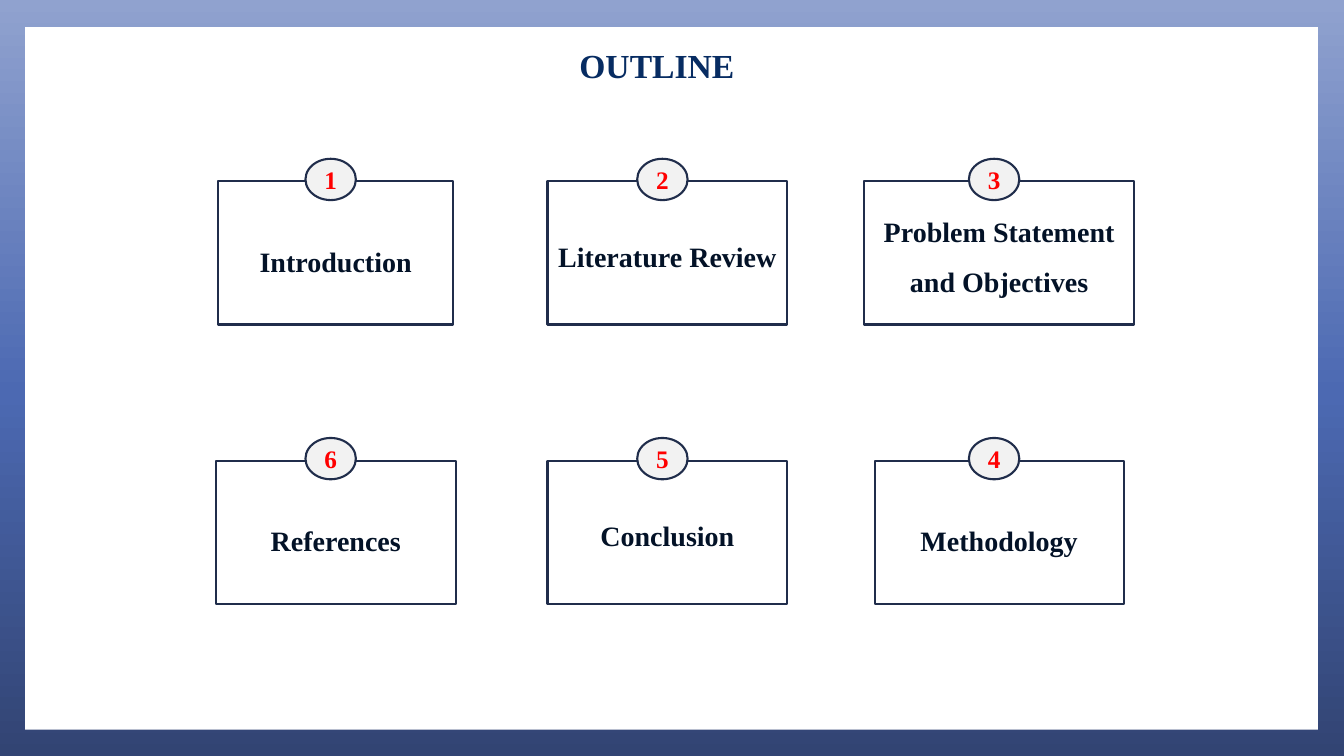
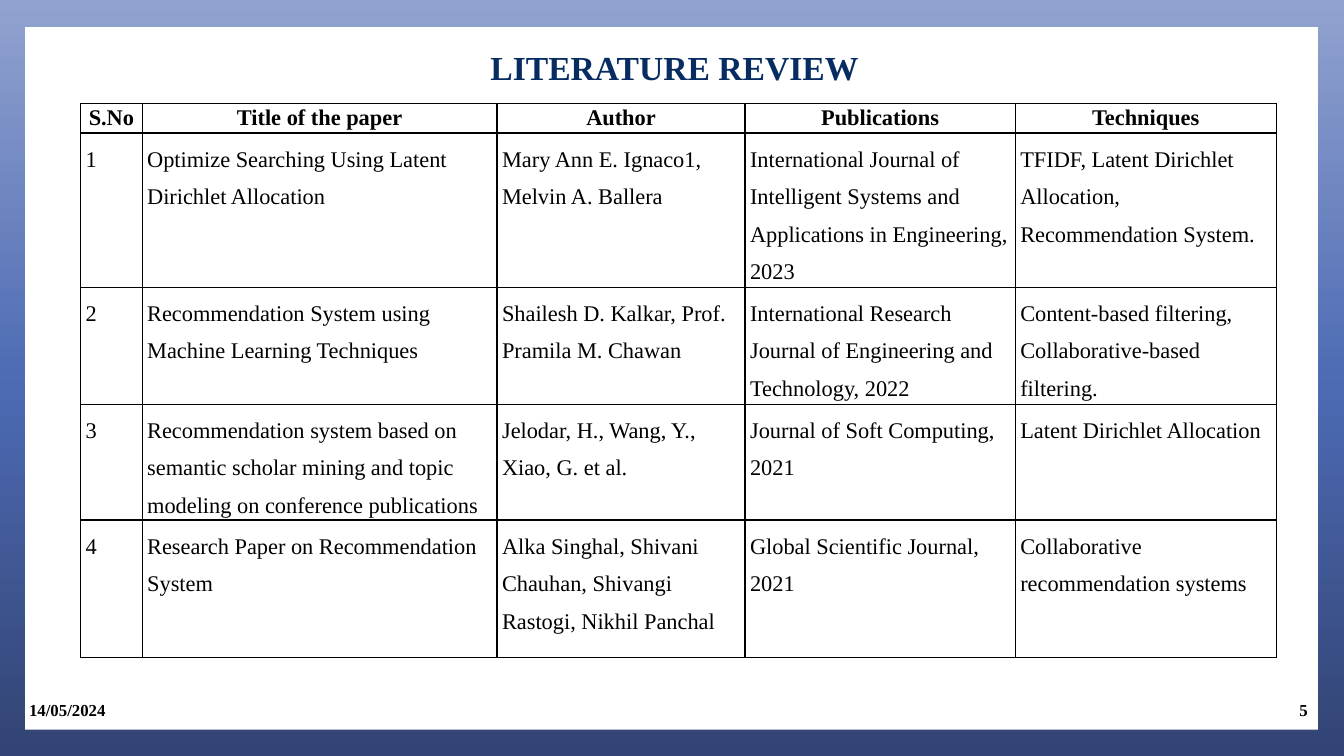
"""Build the outline and literature review slides."""
from dataclasses import dataclass

from lxml.etree import SubElement
from pptx import Presentation
from pptx.dml.color import RGBColor
from pptx.enum.shapes import MSO_SHAPE
from pptx.enum.text import MSO_ANCHOR, PP_ALIGN
from pptx.oxml import parse_xml
from pptx.oxml.ns import nsdecls, qn
from pptx.util import Inches, Pt


@dataclass(frozen=True)
class Theme:
    """Colours, font and type sizes of the deck."""
    font: str = "Times New Roman"
    title: str = "072C62"
    card_text: str = "031227"
    outline: str = "202D4B"
    badge: str = "F2F2F2"
    number: str = "FF0000"
    ink: str = "000000"
    paper: str = "FFFFFF"
    gradient: tuple = ((0, "324473"), (48, "4C69B2"), (100, "90A2CF"))
    title_size: int = 24
    card_size: int = 20
    badge_size: int = 18
    table_size: int = 16
    footer_size: int = 12


@dataclass(frozen=True)
class Grid:
    """Centres, tops and sizes of the outline cards, in inches."""
    first_centre: float = 3.33
    column_pitch: float = 3.29
    first_top: float = 1.8
    row_pitch: float = 2.77
    card_height: float = 1.42
    badge_width: float = 0.5
    badge_height: float = 0.41
    badge_shift: float = 0.05
    badge_rise: float = 0.02


THEME = Theme()
GRID = Grid()
TITLE_ONLY = 5

CARDS = (
    ("Introduction", 0, 0, 2.33, 0),
    ("Literature Review", 1, 0, 2.38, 0.1),
    ("Problem Statement\nand Objectives", 2, 0, 2.68, 0.1),
    ("Methodology", 2, 1, 2.47, 0),
    ("Conclusion", 1, 1, 2.38, 0.1),
    ("References", 0, 1, 2.38, 0),
)

COLUMN_WIDTHS = (0.61, 3.52, 2.46, 2.68, 2.59)
ROW_HEIGHTS = (0.29, 1.53, 1.16, 1.15, 1.36)
PAPERS = (
    ("S.No", "Title of the paper", "Author", "Publications", "Techniques"),
    ("1", "Optimize Searching Using Latent Dirichlet Allocation",
     "Mary Ann E. Ignaco1, Melvin A. Ballera",
     "International Journal of Intelligent Systems and Applications in Engineering, 2023",
     "TFIDF, Latent Dirichlet Allocation, Recommendation System."),
    ("2", "Recommendation System using Machine Learning Techniques",
     "Shailesh D. Kalkar, Prof. Pramila M. Chawan",
     "International Research Journal of Engineering and Technology, 2022",
     "Content-based filtering,\nCollaborative-based filtering."),
    ("3", "Recommendation system based on semantic scholar mining and topic modeling "
     "on conference publications",
     "Jelodar, H., Wang, Y., Xiao, G. et al.",
     "Journal of Soft Computing, 2021",
     "Latent Dirichlet Allocation"),
    ("4", "Research Paper on Recommendation System",
     "Alka Singhal, Shivani Chauhan, Shivangi Rastogi, Nikhil Panchal",
     "Global Scientific Journal, 2021",
     "Collaborative recommendation systems"),
)


def write(text_frame, text, size, colour, align=PP_ALIGN.CENTER, bold=True, spacing=1.0):
    """Fill a text frame and format its paragraphs and runs."""
    text_frame.word_wrap = True
    text_frame.text = text
    for paragraph in text_frame.paragraphs:
        paragraph.alignment = align
        paragraph.line_spacing = spacing
        for run in paragraph.runs:
            run.font.name = THEME.font
            run.font.size = Pt(size)
            run.font.bold = bold
            run.font.color.rgb = RGBColor.from_string(colour)


def set_margins(target, horizontal, top, bottom):
    """Set the inner margins of a text frame or a table cell."""
    target.margin_left = target.margin_right = Inches(horizontal)
    target.margin_top, target.margin_bottom = Inches(top), Inches(bottom)


def add_shape(slide, kind, box, fill, line=None):
    """Add a flat preset shape."""
    shape = slide.shapes.add_shape(kind, *map(Inches, box))
    shape.shadow.inherit = False
    shape.fill.solid()
    shape.fill.fore_color.rgb = RGBColor.from_string(fill)
    if line:
        shape.line.color.rgb = RGBColor.from_string(line)
        shape.line.width = Pt(1.5)
    else:
        shape.line.fill.background()
    shape.text_frame.vertical_anchor = MSO_ANCHOR.MIDDLE
    return shape


def style_master(master, slide):
    """Give the master its gradient and the white panel."""
    fill = master.background.fill
    fill.gradient()
    fill.gradient_angle = 90
    stops = master.element.find(".//" + qn("a:gsLst"))
    stops.clear()
    for position, colour in THEME.gradient:
        stop = SubElement(stops, qn("a:gs"), pos=str(position * 1000))
        SubElement(stop, qn("a:srgbClr"), val=colour)
    panel = add_shape(slide, MSO_SHAPE.RECTANGLE, (0.25, 0.27, 12.82, 6.97), THEME.paper)
    master.element.cSld.spTree.insert(2, panel.element)


def add_title(slide, text, box):
    """Place and format the title placeholder."""
    title = slide.shapes.title
    title.left, title.top, title.width, title.height = map(Inches, box)
    title.text_frame.vertical_anchor = MSO_ANCHOR.MIDDLE
    write(title.text_frame, text, THEME.title_size, THEME.title, spacing=0.9)


def add_card(slide, number, text, column, row, width, lift):
    """Add an outline card with its numbered badge on the top edge."""
    centre = GRID.first_centre + column * GRID.column_pitch
    top = GRID.first_top + row * GRID.row_pitch
    card = add_shape(slide, MSO_SHAPE.RECTANGLE,
                     (centre - width / 2, top, width, GRID.card_height),
                     THEME.paper, THEME.outline)
    set_margins(card.text_frame, 0.05, 0.05, 0.05 + lift)
    write(card.text_frame, text, THEME.card_size, THEME.card_text, spacing=1.5)
    badge = add_shape(slide, MSO_SHAPE.OVAL,
                      (centre - GRID.badge_shift - GRID.badge_width / 2,
                       top - GRID.badge_rise - GRID.badge_height / 2,
                       GRID.badge_width, GRID.badge_height),
                      THEME.badge, THEME.outline)
    set_margins(badge.text_frame, 0, 0, 0)
    write(badge.text_frame, str(number), THEME.badge_size, THEME.number)


def add_borders(frame):
    """Draw a thin line on every side of every cell."""
    for properties in frame.element.iter(qn("a:tcPr")):
        for index, side in enumerate(("lnL", "lnR", "lnT", "lnB")):
            properties.insert(index, parse_xml(
                f'<a:{side} {nsdecls("a")} w="{Pt(1)}"><a:solidFill>'
                f'<a:srgbClr val="{THEME.ink}"/></a:solidFill></a:{side}>'))


def add_paper_table(slide, left, top):
    """Add the table of reviewed papers."""
    frame = slide.shapes.add_table(
        len(PAPERS), len(COLUMN_WIDTHS), Inches(left), Inches(top),
        Inches(sum(COLUMN_WIDTHS)), Inches(sum(ROW_HEIGHTS)))
    table = frame.table
    table.horz_banding = False
    for column, width in zip(table.columns, COLUMN_WIDTHS):
        column.width = Inches(width)
    for index, (row, height, texts) in enumerate(zip(table.rows, ROW_HEIGHTS, PAPERS)):
        row.height = Inches(height)
        header = index == 0
        for cell, text in zip(row.cells, texts):
            set_margins(cell, 0.05, 0.02, 0.02)
            cell.fill.solid()
            cell.fill.fore_color.rgb = RGBColor.from_string(THEME.paper)
            write(cell.text_frame, text, THEME.table_size, THEME.ink,
                  PP_ALIGN.CENTER if header else PP_ALIGN.LEFT,
                  bold=header, spacing=1.0 if header else 1.5)
    add_borders(frame)


def add_footer(slide, text, left, width, align):
    """Add one footer text on the shared footer line."""
    box = slide.shapes.add_textbox(Inches(left), Inches(6.84), Inches(width), Inches(0.4))
    box.text_frame.vertical_anchor = MSO_ANCHOR.MIDDLE
    write(box.text_frame, text, THEME.footer_size, THEME.ink, align)


def main():
    """Build and save the presentation."""
    presentation = Presentation()
    presentation.slide_width, presentation.slide_height = Inches(13.33), Inches(7.5)
    layout = presentation.slide_layouts[TITLE_ONLY]

    outline = presentation.slides.add_slide(layout)
    style_master(presentation.slide_master, outline)
    add_title(outline, "OUTLINE", (5.4, 0.4, 2.23, 0.55))
    for number, card in enumerate(CARDS, start=1):
        add_card(outline, number, *card)

    review = presentation.slides.add_slide(layout)
    add_title(review, "LITERATURE REVIEW", (2.34, 0.42, 8.7, 0.55))
    add_paper_table(review, 0.8, 1.03)
    add_footer(review, "14/05/2024", 0.19, 2.55, PP_ALIGN.LEFT)
    add_footer(review, "5", 11.2, 1.87, PP_ALIGN.RIGHT)

    presentation.save("out.pptx")


if __name__ == "__main__":
    main()
